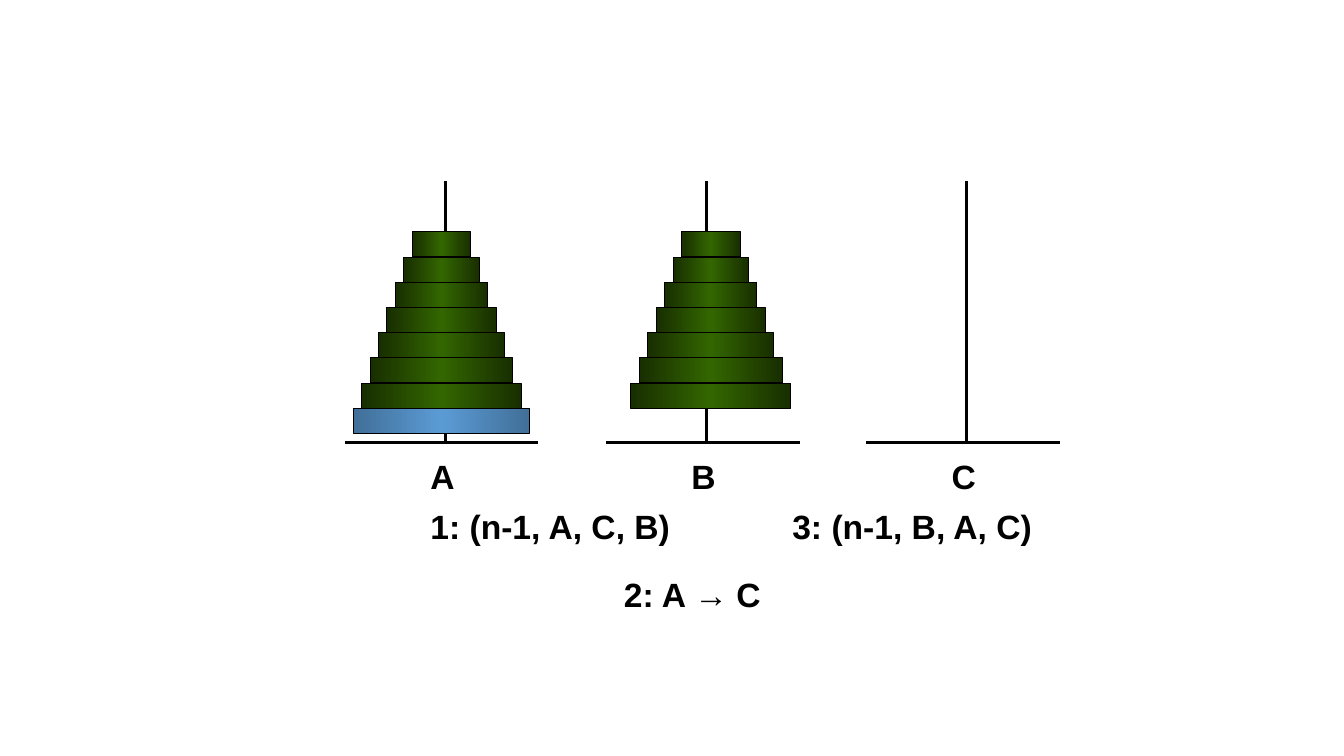
from copy import deepcopy

from pptx import Presentation, util as u
from pptx.dml.color import RGBColor
from pptx.enum import shapes, text
from pptx.oxml.ns import qn
from lxml import etree

# Content
COLORS = {"ink": "000000", "green": "336600", "green_edge": "182F00",
          "blue": "5B9BD5", "blue_edge": "416F98"}
PEGS = {"A": 4.42, "B": 7.01, "C": 9.59}
# Tower: centre, number of the lowest disc, number after the highest, colour
TOWERS = [(4.38, 0, 1, "blue"), (4.38, 1, 8, "green"), (7.05, 1, 8, "green")]
# Step: left, top, width, runs with their fonts
STEPS = [
    (4.17, 4.97, 2.58, [("1: (n-1, A, C, B)", "Arial")]),
    (6.09, 5.64, 1.83, [("2: A ", "Arial"), ("→ ", "Times New Roman"), ("C", "Arial")]),
    (7.76, 4.97, 2.75, [("3: (n-1, B, A, C)", "Arial")]),
]

# Grid, in inches
FLOOR, PEG_TOP, LABEL_TOP = 4.39, 1.8, 4.47
BASE_LEFT, BASE_RIGHT = 1.0, 0.92
DISC_TOP, DISC_HEIGHT = 4.05, 0.25
DISC_WIDTH, DISC_STEP = 1.75, 1 / 6
LABEL_SIZE = 0.5

deck = Presentation()
deck.slide_width, deck.slide_height = u.Inches(13.33), u.Inches(7.5)
slide = deck.slides.add_slide(deck.slide_layouts[6])


def rgb(name):
    return RGBColor.from_string(COLORS[name])


def add_rule(x1, y1, x2, y2):
    rule = slide.shapes.add_connector(
        shapes.MSO_CONNECTOR.STRAIGHT, *map(u.Inches, (x1, y1, x2, y2)))
    rule.line.color.rgb = rgb("ink")
    rule.line.width = u.Pt(2.25)
    etree.SubElement(rule._element.spPr, qn("a:effectLst"))


def add_disc(tower, center, number, color):
    width = DISC_WIDTH - number * DISC_STEP
    box = (center - width / 2, DISC_TOP - number * DISC_HEIGHT, width, DISC_HEIGHT)
    disc = tower.add_shape(shapes.MSO_SHAPE.RECTANGLE, *map(u.Inches, box))
    disc.shadow.inherit = False
    disc.line.color.rgb = rgb("ink")
    disc.line.width = u.Pt(0.75)
    disc.fill.gradient()
    disc.fill.gradient_angle = 0
    # Add a middle stop, then colour edge, middle, edge
    stop_list = disc._element.spPr.find(".//" + qn("a:gsLst"))
    stop_list.insert(1, deepcopy(stop_list[0]))
    shades = [f"{color}_edge", color, f"{color}_edge"]
    for stop, position, shade in zip(disc.fill.gradient_stops, (0, 0.5, 1), shades):
        stop.position = position
        stop.color.rgb = rgb(shade)


def add_label(left, top, width, runs):
    label = slide.shapes.add_textbox(*map(u.Inches, (left, top, width, LABEL_SIZE)))
    frame = label.text_frame
    frame.word_wrap = True
    frame.auto_size = text.MSO_AUTO_SIZE.SHAPE_TO_FIT_TEXT
    for words, font in runs:
        run = frame.paragraphs[0].add_run()
        run.text = words
        for key, value in {"name": font, "size": u.Pt(24), "bold": True}.items():
            setattr(run.font, key, value)
        run.font.color.rgb = rgb("ink")


# Pegs with their bases and letters
for letter, x in PEGS.items():
    add_rule(x - BASE_LEFT, FLOOR, x + BASE_RIGHT, FLOOR)
    add_rule(x, FLOOR, x, PEG_TOP)
    add_label(x - LABEL_SIZE / 2, LABEL_TOP, LABEL_SIZE, [(letter, "Arial")])

# Discs, a tower of several kept as one group
for center, lowest, end, color in TOWERS:
    tower = slide.shapes if end - lowest == 1 else slide.shapes.add_group_shape().shapes
    for number in range(lowest, end):
        add_disc(tower, center, number, color)

# Steps of the recursion
for step in STEPS:
    add_label(*step)

deck.save("out.pptx")
